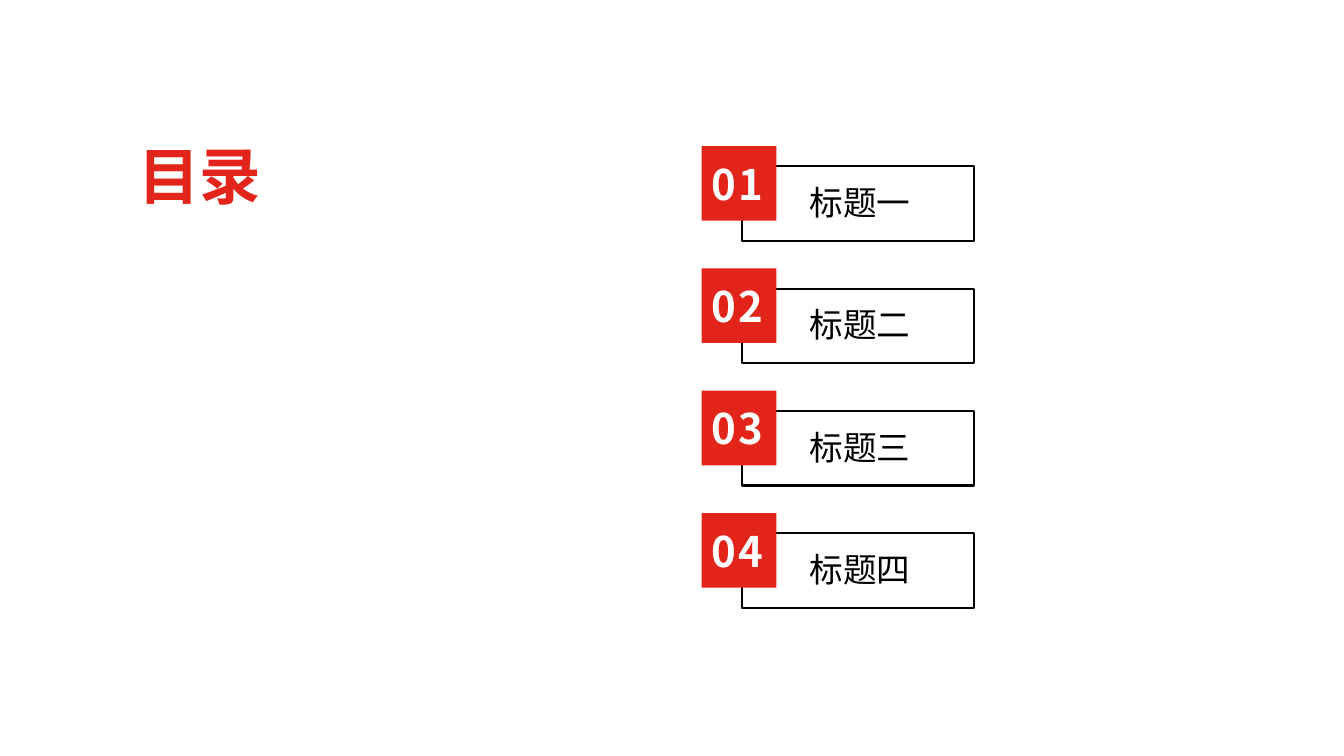
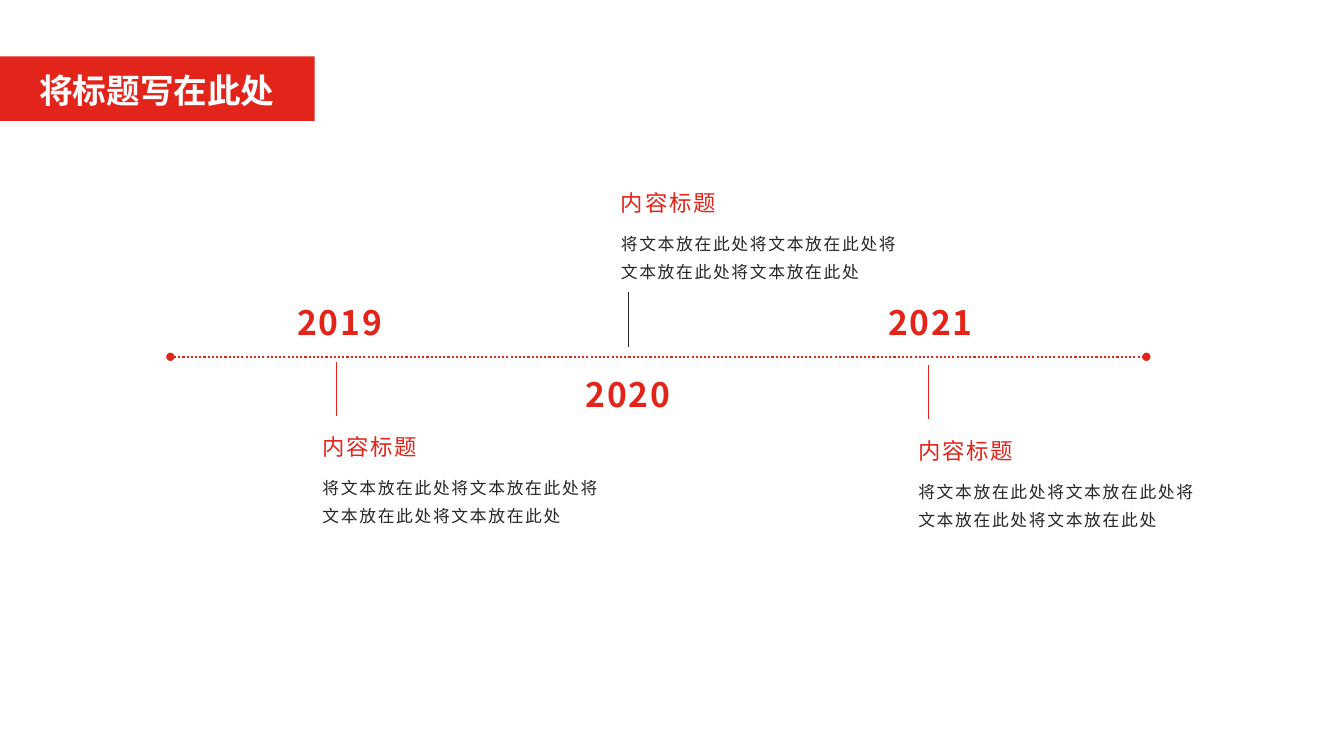
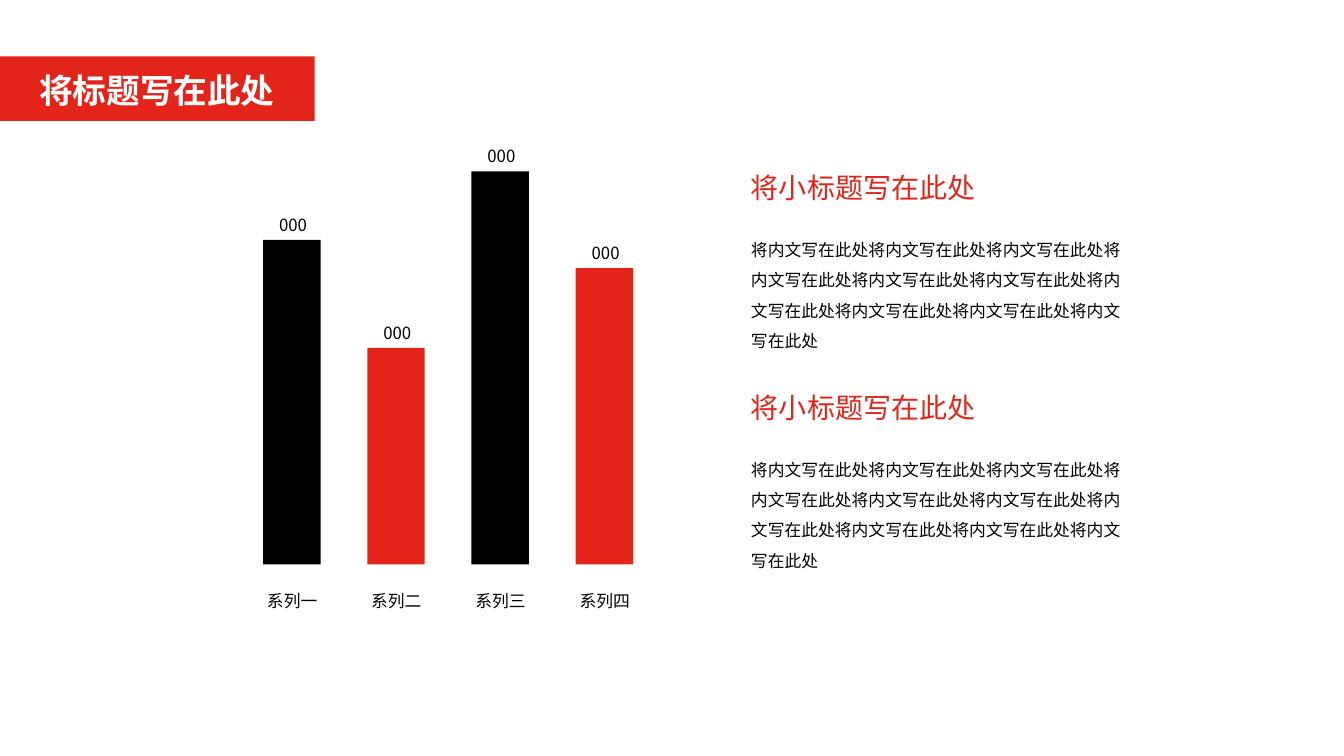
from pptx import Presentation
from pptx.dml.color import RGBColor
from pptx.enum.dml import MSO_LINE
from pptx.enum.shapes import MSO_CONNECTOR, MSO_SHAPE
from pptx.enum.text import MSO_ANCHOR, MSO_AUTO_SIZE, PP_ALIGN
from pptx.oxml.ns import qn
from pptx.util import Inches, Pt
from lxml import etree

RED = RGBColor(0xE2, 0x24, 0x1A)
BLACK = RGBColor(0, 0, 0)
GREY = RGBColor(0x26, 0x26, 0x26)
WHITE = RGBColor(255, 255, 255)
FONT = "Noto Sans CJK SC"
TOP, MIDDLE, BOTTOM = MSO_ANCHOR.TOP, MSO_ANCHOR.MIDDLE, MSO_ANCHOR.BOTTOM
LEFT = PP_ALIGN.LEFT
RECT = MSO_SHAPE.RECTANGLE
STRAIGHT = MSO_CONNECTOR.STRAIGHT
DOTS = MSO_LINE.ROUND_DOT
FIXED = MSO_AUTO_SIZE.NONE
EXACT = Pt(22.2)


def write(frame, text, size, color, bold=False, spread=0, lead=None, before=0,
          anchor=TOP, wrap=True):
    frame.word_wrap = wrap
    frame.auto_size = FIXED
    frame.vertical_anchor = anchor
    para = frame.paragraphs[0]
    para.alignment = LEFT
    para.space_before = Pt(before)
    para.line_spacing = lead
    run = para.add_run()
    run.text = text
    font = run.font
    font.name, font.size, font.bold = FONT, Pt(size), bold
    font.color.rgb = color
    props = run._r.get_or_add_rPr()
    etree.SubElement(props, qn("a:ea")).set("typeface", FONT)
    if spread:
        props.set("spc", str(int(spread * 100)))


def add_text(slide, box, text, size, color, **style):
    frame = slide.shapes.add_textbox(*map(Inches, box)).text_frame
    write(frame, text, size, color, **style)


def add_rect(slide, box, fill=None, line=None):
    shape = slide.shapes.add_shape(RECT, *map(Inches, box))
    shape.shadow.inherit = False
    if fill is None:
        shape.fill.background()
    else:
        shape.fill.solid()
        shape.fill.fore_color.rgb = fill
    if line is None:
        shape.line.fill.background()
    else:
        shape.line.color.rgb = line
        shape.line.width = Pt(1.5)
    return shape


def add_line(slide, ends, width, color=RED):
    line = slide.shapes.add_connector(STRAIGHT, *map(Inches, ends))
    line.line.color.rgb = color
    line.line.width = Pt(width)
    etree.SubElement(line._element.spPr, qn("a:effectLst"))
    return line


def add_title(slide, box, text, size, color, **style):
    title = slide.shapes.title
    title.left, title.top, title.width, title.height = map(Inches, box)
    write(title.text_frame, text, size, color, bold=True, anchor=MIDDLE, **style)
    return title


def add_band(slide, text):
    title = add_title(slide, (0, 0.56, 3.12, 0.64), text, 24, WHITE)
    title.fill.solid()
    title.fill.fore_color.rgb = RED
    title.text_frame.margin_left = Inches(0.39)
    title.text_frame.margin_top = Inches(0.07)


def add_item(slide, x, y, number, text):
    frame = add_rect(slide, (x + 0.4, y + 0.2, 2.3, 0.74), line=BLACK).text_frame
    frame.margin_left = Inches(0.67)
    frame.margin_top = Inches(0.07)
    write(frame, text, 24, BLACK, lead=0.9, before=6, anchor=MIDDLE)
    frame = add_rect(slide, (x, y, 0.74, 0.74), fill=RED).text_frame
    frame.margin_bottom = Inches(0.12)
    write(frame, number, 30, WHITE, bold=True, spread=1.3, lead=EXACT,
          before=6, anchor=BOTTOM, wrap=False)


def add_note(slide, x, y, head, body):
    add_text(slide, (x, y, 2.96, 0.37), head, 16, RED, spread=1.3,
             lead=EXACT, before=10, anchor=BOTTOM)
    add_text(slide, (x, y + 0.37, 2.96, 0.61), body, 12, GREY, spread=1.2,
             lead=1.4, before=6)


def add_event(slide, x, stem, color, year, year_x, year_y, note_x, note_y):
    add_line(slide, (x, stem, x, stem + 0.54), 0.5, color)
    add_text(slide, (year_x, year_y, 1.4, 0.47), year, 24, RED, bold=True,
             spread=1.3, lead=EXACT, before=10, anchor=BOTTOM)
    add_note(slide, note_x, note_y, "内容标题", "将文本放在此处" * 4)


def add_axis(slide, x, y, width):
    axis = add_line(slide, (x, y, x + width, y), 1.5)
    axis.line.dash_style = DOTS
    for end in ("a:headEnd", "a:tailEnd"):
        etree.SubElement(axis.line._ln, qn(end)).set("type", "oval")


def add_bar(slide, x, base, height, fill, name):
    top = base - height
    add_rect(slide, (x, top, 0.57, height), fill=fill)
    add_text(slide, (x + 0.06, top - 0.4, 0.54, 0.37), "000", 12, BLACK, lead=1.5)
    add_text(slide, (x - 0.06, base + 0.11, 0.7, 0.37), name, 12, BLACK, lead=1.5)


def add_part(slide, x, y, head, body):
    add_text(slide, (x, y, 3.73, 0.44), head, 20, RED)
    add_text(slide, (x, y + 0.59, 4.01, 1.28), body, 12, BLACK, lead=1.5)


def make_agenda(slide):
    add_title(slide, (1.27, 1.34, 1.51, 0.88), "目录", 44, RED, lead=0.9, before=6)
    for i, digit in enumerate("一二三四"):
        add_item(slide, 6.96, 1.45 + i * 3.64 / 3, f"0{i + 1}", "标题" + digit)


def make_timeline(slide):
    add_band(slide, "将标题写在此处")
    add_axis(slide, 1.69, 3.54, 9.68)
    for event in ((3.34, 3.59, RED, "2019", 2.85, 2.97, 3.1, 4.24),
                  (6.23, 2.9, GREY, "2020", 5.71, 3.69, 6.06, 1.82),
                  (9.21, 3.62, RED, "2021", 8.71, 2.97, 9.01, 4.28)):
        add_event(slide, *event)


def make_report(slide):
    add_band(slide, "将标题写在此处")
    for i, (digit, height) in enumerate(zip("一二三四", (3.22, 2.15, 3.9, 2.94))):
        add_bar(slide, 2.61 + i * 3.1 / 3, 5.6, height, (BLACK, RED)[i % 2],
                "系列" + digit)
    for y in (1.64, 3.82):
        add_part(slide, 7.35, y, "将小标题写在此处", "将内文写在此处" * 10)


deck = Presentation()
deck.slide_width, deck.slide_height = Inches(13.33), Inches(7.5)
for make in (make_agenda, make_timeline, make_report):
    make(deck.slides.add_slide(deck.slide_layouts[5]))
deck.save("out.pptx")
